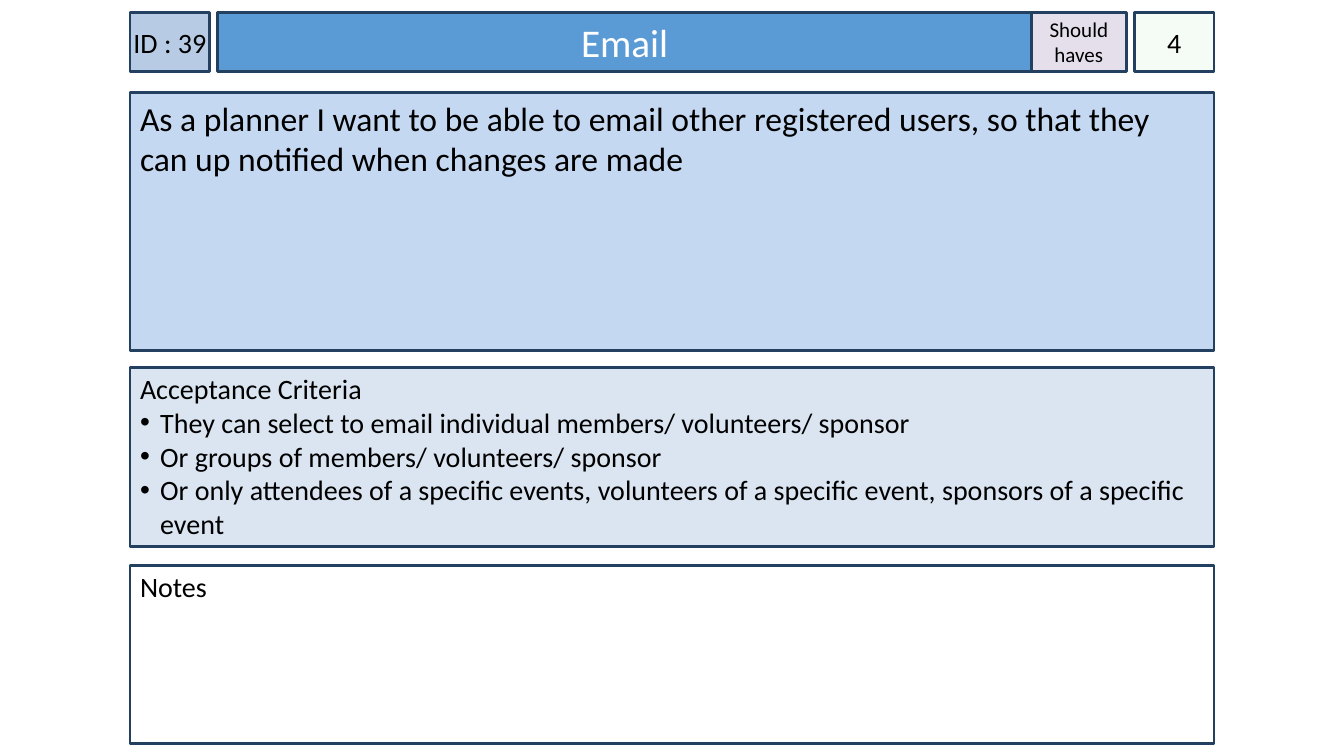
from lxml.etree import SubElement
from pptx import Presentation
from pptx.dml.color import RGBColor
from pptx.enum.shapes import MSO_SHAPE as Shape
from pptx.enum.text import MSO_ANCHOR as Anchor, PP_ALIGN as Align
from pptx.oxml.ns import qn
from pptx.util import Inches, Pt

NAVY = RGBColor(0x24, 0x40, 0x61)
BLACK = RGBColor(0, 0, 0)
WHITE = RGBColor(0xFF, 0xFF, 0xFF)
ID_BLUE = RGBColor(0xB7, 0xCC, 0xE4)
TITLE_BLUE = RGBColor(0x5B, 0x9B, 0xD5)
STORY_BLUE = RGBColor(0xC5, 0xD8, 0xF1)
CRITERIA_BLUE = RGBColor(0xDA, 0xE5, 0xF1)
PRIORITY_LILAC = RGBColor(0xE5, 0xDF, 0xEC)
POINTS_GREEN = RGBColor(0xCC, 0xF0, 0xCD)

FONT = "Calibri"
CARD_LEFT, CARD_WIDTH = 1.29, 10.75
HEADER_TOP, HEADER_HEIGHT = 0.12, 0.59
BULLET_INDENT = 0.2


def add_box(slide, left, top, width, height, fill, opacity=None):
    box = slide.shapes.add_shape(
        Shape.RECTANGLE, Inches(left), Inches(top), Inches(width), Inches(height))
    box.shadow.inherit = False
    box.fill.solid()
    box.fill.fore_color.rgb = fill
    if opacity is not None:
        color = box.fill._xPr.find(qn("a:solidFill"))[0]
        SubElement(color, qn("a:alpha"), val=str(opacity * 1000))
    box.line.color.rgb = NAVY
    box.line.width = Pt(2)
    return box


def set_margins(frame, side, top):
    frame.word_wrap = True
    frame.margin_left = frame.margin_right = Inches(side)
    frame.margin_top = Inches(top)
    frame.margin_bottom = Inches(0.05)


def add_bullet(para):
    properties = para._p.get_or_add_pPr()
    properties.set("marL", str(Inches(BULLET_INDENT)))
    properties.set("indent", str(-Inches(BULLET_INDENT)))
    bullet_color = SubElement(properties, qn("a:buClr"))
    SubElement(bullet_color, qn("a:srgbClr"), val=str(BLACK))
    SubElement(properties, qn("a:buFont"), typeface="Arial")
    SubElement(properties, qn("a:buChar"), char="•")


def write(para, text, size=20, color=BLACK, align=Align.LEFT, bullet=False):
    para.alignment = align
    if bullet:
        add_bullet(para)
    span = para.add_run()
    span.text = text
    span.font.name = FONT
    span.font.size = Pt(size)
    span.font.color.rgb = color


def add_header_cell(slide, text, left, width, fill, side=0, opacity=None, **style):
    box = add_box(slide, left, HEADER_TOP, width, HEADER_HEIGHT, fill, opacity)
    frame = box.text_frame
    set_margins(frame, side, 0.05)
    frame.vertical_anchor = Anchor.MIDDLE
    write(frame.paragraphs[0], text, align=Align.CENTER, **style)


def add_panel(slide, text, top, height, fill, inset=0.04, bullets=(), **style):
    frame = add_box(slide, CARD_LEFT, top, CARD_WIDTH, height, fill).text_frame
    set_margins(frame, 0.1, inset)
    frame.vertical_anchor = Anchor.TOP
    write(frame.paragraphs[0], text, **style)
    for bullet in bullets:
        write(frame.add_paragraph(), bullet, bullet=True, **style)


def main():
    deck = Presentation()
    deck.slide_width, deck.slide_height = Inches(13.33), Inches(7.5)
    page = deck.slides.add_slide(deck.slide_layouts[6])

    # Header row
    add_header_cell(page, "ID : 39", CARD_LEFT, 0.79, ID_BLUE)
    add_header_cell(page, "Email", 2.16, 8.07, TITLE_BLUE, side=0.1,
                    size=28, color=WHITE)
    add_header_cell(page, "4", 11.25, 0.79, POINTS_GREEN, opacity=20)
    add_header_cell(page, "Should haves", 10.23, 0.94, PRIORITY_LILAC, size=15)

    # User story
    add_panel(page, "As a planner I want to be able to email other registered users, "
              "so that they can up notified when changes are made",
              0.92, 2.56, STORY_BLUE, inset=0.05, size=24)

    # Acceptance criteria and notes
    add_panel(page, "Acceptance Criteria", 3.65, 1.77, CRITERIA_BLUE, bullets=(
        "They can select to email individual members/ volunteers/ sponsor",
        "Or groups of members/ volunteers/ sponsor",
        "Or only attendees of a specific events, volunteers of a specific event, "
        "sponsors of a specific event",
    ))
    add_panel(page, "Notes", 5.61, 1.77, WHITE)

    deck.save("out.pptx")


if __name__ == "__main__":
    main()
